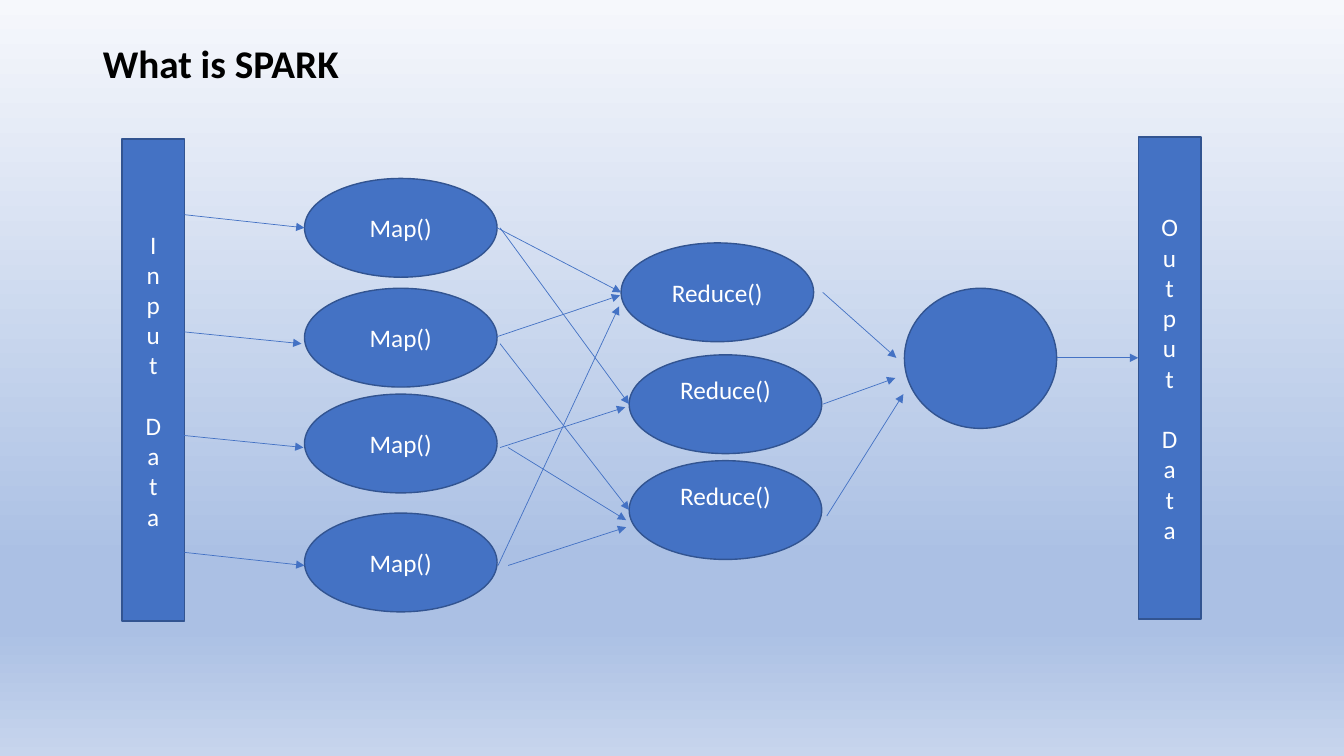
"""Build the slide that shows data flowing through map and reduce steps."""
import pptx
import pptx.dml.color
import pptx.enum.shapes
import pptx.enum.text
import pptx.oxml
import pptx.oxml.ns
import pptx.util

Inches = pptx.util.Inches
ShapeType = pptx.enum.shapes.MSO_SHAPE
Anchor = pptx.enum.text.MSO_ANCHOR
Align = pptx.enum.text.PP_ALIGN

TITLE = "What is SPARK"
FONT = "Calibri"
BLUE, OUTLINE, WHITE, BLACK = "4472C4", "325491", "FFFFFF", "000000"
BACKGROUND_STOPS = [(0, "F6F8FC"), (74, "ABC0E4"), (83, "ABC0E4"), (100, "C7D5ED")]

BAR_SIZE = (0.62, 4.78)
BARS = [("Input Data", 1.21, 1.38), ("Output Data", 11.29, 1.36)]
STEP_SIZE = (1.91, 0.98)
MAP_LEFT = 3.02
MAP_TOPS = [1.77, 2.86, 3.91, 5.09]
REDUCE_STEPS = [
    (6.16, 2.41, Anchor.MIDDLE),
    (6.24, 3.52, Anchor.TOP),
    (6.24, 4.57, Anchor.TOP),
]
RESULT_PLACE = (8.97, 2.86, 1.51, 1.39)

INPUT_ARROWS = [
    (1.83, 2.13, 3.02, 2.26),
    (1.8, 3.29, 2.99, 3.41),
    (1.82, 4.32, 3.01, 4.44),
    (1.83, 5.48, 3.02, 5.61),
]
SHUFFLE_ARROWS = [
    (4.93, 2.26, 6.16, 2.9),
    (4.96, 2.26, 6.24, 4.01),
    (4.93, 3.34, 6.15, 2.93),
    (4.96, 3.41, 6.24, 5.06),
    (4.96, 4.44, 6.2, 4.04),
    (5.04, 4.44, 6.21, 5.16),
    (4.94, 5.61, 6.14, 3.04),
    (5.04, 5.61, 6.21, 5.23),
]
RESULT_ARROWS = [
    (8.16, 2.9, 8.89, 3.55),
    (8.16, 4.01, 8.88, 3.75),
    (8.2, 5.12, 8.96, 3.91),
    (10.48, 3.55, 11.29, 3.55),
]


def color(value):
    return pptx.dml.color.RGBColor.from_string(value)


def add_xml(parent, tag, **attributes):
    element = pptx.oxml.ns.qn(tag)
    child = parent.makeelement(element, attributes)
    parent.append(child)
    return child


def write_text(shape, text, size=18, fill=WHITE, bold=False, align=Align.CENTER,
               anchor=Anchor.MIDDLE, spacing=None, vertical=None):
    frame = shape.text_frame
    frame.word_wrap = True
    frame.vertical_anchor = anchor
    if vertical:
        frame._txBody.bodyPr.set("vert", vertical)
    paragraph = frame.paragraphs[0]
    paragraph.alignment = align
    paragraph.line_spacing = spacing
    run = paragraph.add_run()
    run.text = text
    run.font.name = FONT
    run.font.size = pptx.util.Pt(size)
    run.font.bold = bold
    run.font.color.rgb = color(fill)


def add_shape(slide, kind, place):
    shape = slide.shapes.add_shape(kind, *map(Inches, place))
    shape.shadow.inherit = False
    shape.fill.solid()
    shape.fill.fore_color.rgb = color(BLUE)
    shape.line.color.rgb = color(OUTLINE)
    shape.line.width = pptx.util.Pt(1)
    return shape


def add_arrow(slide, ends):
    straight = pptx.enum.shapes.MSO_CONNECTOR.STRAIGHT
    arrow = slide.shapes.add_connector(straight, *map(Inches, ends))
    arrow.line.color.rgb = color(BLUE)
    arrow.line.width = pptx.util.Pt(0.5)
    add_xml(arrow.line._get_or_add_ln(), "a:tailEnd", type="triangle")
    add_xml(arrow._element.spPr, "a:effectLst")


def paint_background(slide):
    fill = slide.background.fill
    fill.gradient()
    fill.gradient_angle = 270
    stops = slide._element.xpath(".//a:gsLst")[0]
    for stop in list(stops):
        stops.remove(stop)
    for percent, value in BACKGROUND_STOPS:
        stop = add_xml(stops, "a:gs", pos=str(percent * 1000))
        add_xml(stop, "a:srgbClr", val=value)


def main():
    presentation = pptx.Presentation()
    presentation.slide_width = Inches(13.33)
    presentation.slide_height = Inches(7.5)
    slide = presentation.slides.add_slide(presentation.slide_layouts[5])
    paint_background(slide)

    title = slide.shapes.title
    title.left, title.top, title.width, title.height = map(Inches, (0.92, 0.4, 11.5, 0.5))
    write_text(title, TITLE, size=28, fill=BLACK, bold=True, align=Align.LEFT, spacing=0.9)

    for text, left, top in BARS:
        bar = add_shape(slide, ShapeType.RECTANGLE, (left, top, *BAR_SIZE))
        write_text(bar, text, vertical="wordArtVert")

    steps = [("Map()", MAP_LEFT, top, Anchor.MIDDLE) for top in MAP_TOPS]
    steps += [("Reduce()", *step) for step in REDUCE_STEPS]
    for text, left, top, anchor in steps:
        oval = add_shape(slide, ShapeType.OVAL, (left, top, *STEP_SIZE))
        write_text(oval, text, anchor=anchor)

    add_shape(slide, ShapeType.FLOWCHART_CONNECTOR, RESULT_PLACE)
    for ends in INPUT_ARROWS + SHUFFLE_ARROWS + RESULT_ARROWS:
        add_arrow(slide, ends)

    presentation.save("out.pptx")


if __name__ == "__main__":
    main()
